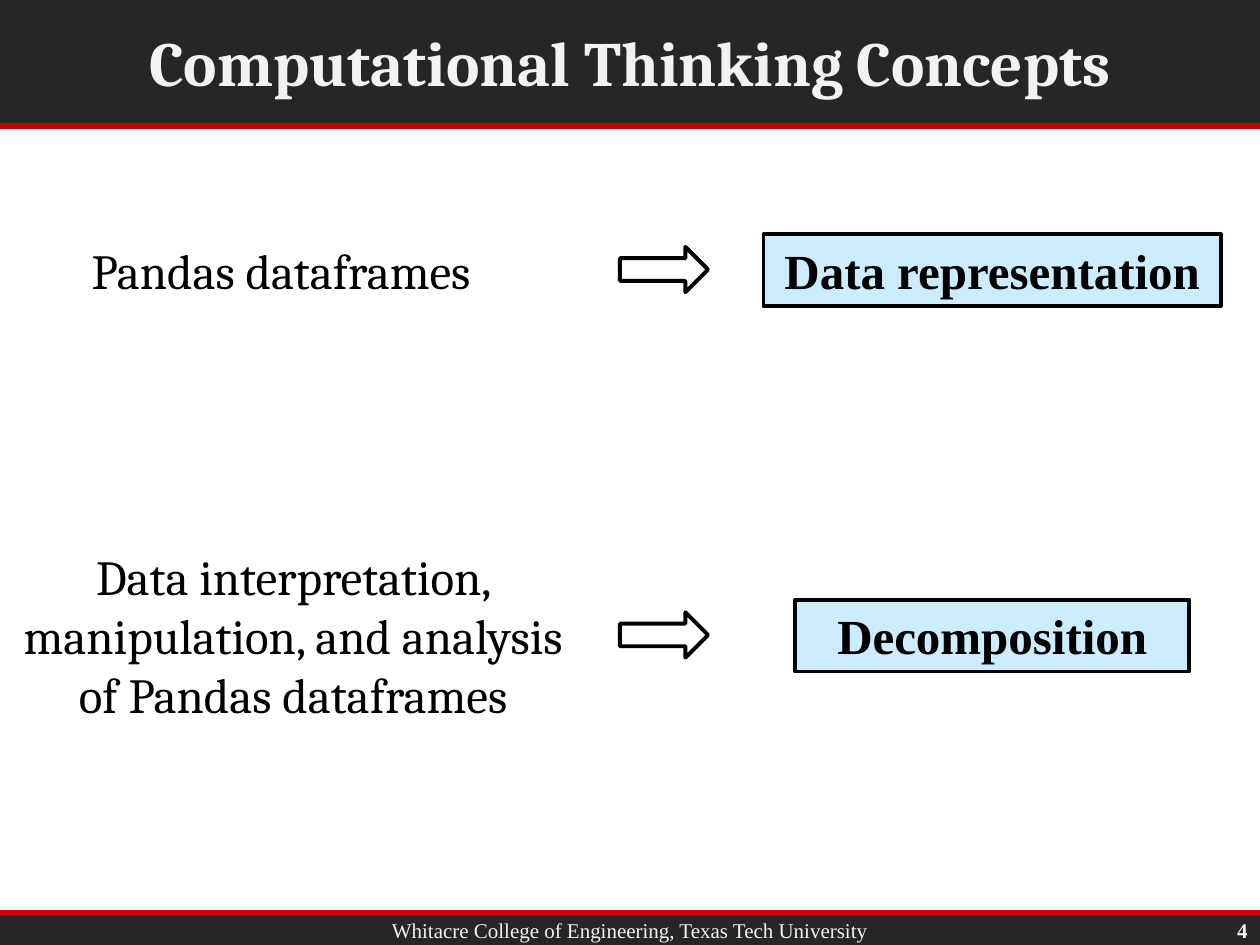
from pptx import Presentation
from pptx.dml.color import RGBColor
from pptx.enum.shapes import MSO_CONNECTOR as CONN, MSO_SHAPE as SHAPE
from pptx.enum.text import MSO_ANCHOR as ANCHOR, PP_ALIGN as ALIGN
from pptx.oxml.ns import qn
from pptx.util import Inches, Pt
from lxml import etree

C = {"dark": "262626", "red": "CC0000", "light": "F2F2F2", "black": "000000", "sky": "CCECFF"}
SERIF, TIMES = "Cambria", "Times New Roman"


def put_text(sp, text, size=28, font=SERIF, color="black", bold=False,
             align=ALIGN.CENTER, anchor=ANCHOR.TOP):
    tf = sp.text_frame
    tf.word_wrap = True
    tf.vertical_anchor = anchor
    p = tf.paragraphs[0]
    p.alignment = align
    r = p.add_run()
    r.text = text
    r.font.size, r.font.name, r.font.bold = Pt(size), font, bold
    r.font.color.rgb = RGBColor.from_string(C[color])


def add_shape(kind, x, y, w, h, fill=None, line=None):
    sp = s.shapes.add_shape(kind, Inches(x), Inches(y), Inches(w), Inches(h))
    sp.shadow.inherit = False
    if fill:
        sp.fill.solid()
        sp.fill.fore_color.rgb = RGBColor.from_string(C[fill])
    else:
        sp.fill.background()
    if line:
        sp.line.color.rgb = RGBColor.from_string(C[line])
        sp.line.width = Pt(2.25)
    else:
        sp.line.fill.background()
    return sp


prs = Presentation()
prs.slide_width, prs.slide_height = Inches(10), Inches(7.5)
s = prs.slides.add_slide(prs.slide_layouts[6])

for top, height, rule_y in [(7.24, 0.26, 7.24), (0, 1, 1)]:
    add_shape(SHAPE.RECTANGLE, 0, top, 10, height, fill="dark")
    rule = s.shapes.add_connector(CONN.STRAIGHT, 0, Inches(rule_y), Inches(10), Inches(rule_y))
    rule.line.color.rgb = RGBColor.from_string(C["red"])
    rule.line.width = Pt(3)
    etree.SubElement(rule._element.spPr, qn("a:effectLst"))

light = dict(color="light", anchor=ANCHOR.MIDDLE)
labels = [
    ("Whitacre College of Engineering, Texas Tech University", (1.01, 7.23, 7.98, 0.3),
     dict(light, size=12, font=TIMES)),
    ("4", (9.28, 7.25, 0.72, 0.26),
     dict(light, size=12, font=TIMES, bold=True, align=ALIGN.RIGHT)),
    ("Computational Thinking Concepts", (1.01, 0.04, 7.98, 0.89),
     dict(light, size=36, bold=True)),
    ("Pandas dataframes", (0.32, 1.86, 3.82, 0.57), {}),
    ("Data interpretation, manipulation, and analysis of Pandas dataframes",
     (0, 4.29, 4.65, 1.51), {}),
]
for text, box, fmt in labels:
    tb = s.shapes.add_textbox(*[Inches(v) for v in box])
    put_text(tb, text, **fmt)

concept_center = 7.875
for concept, y, width in [("Data representation", 1.86, 3.63), ("Decomposition", 4.76, 3.13)]:
    add_shape(SHAPE.RIGHT_ARROW, 4.92, y + 0.1, 0.7, 0.36, line="black")
    sp = add_shape(SHAPE.RECTANGLE, concept_center - width / 2, y, width, 0.57,
                   fill="sky", line="black")
    put_text(sp, concept, font=TIMES, bold=True)

prs.save("out.pptx")
